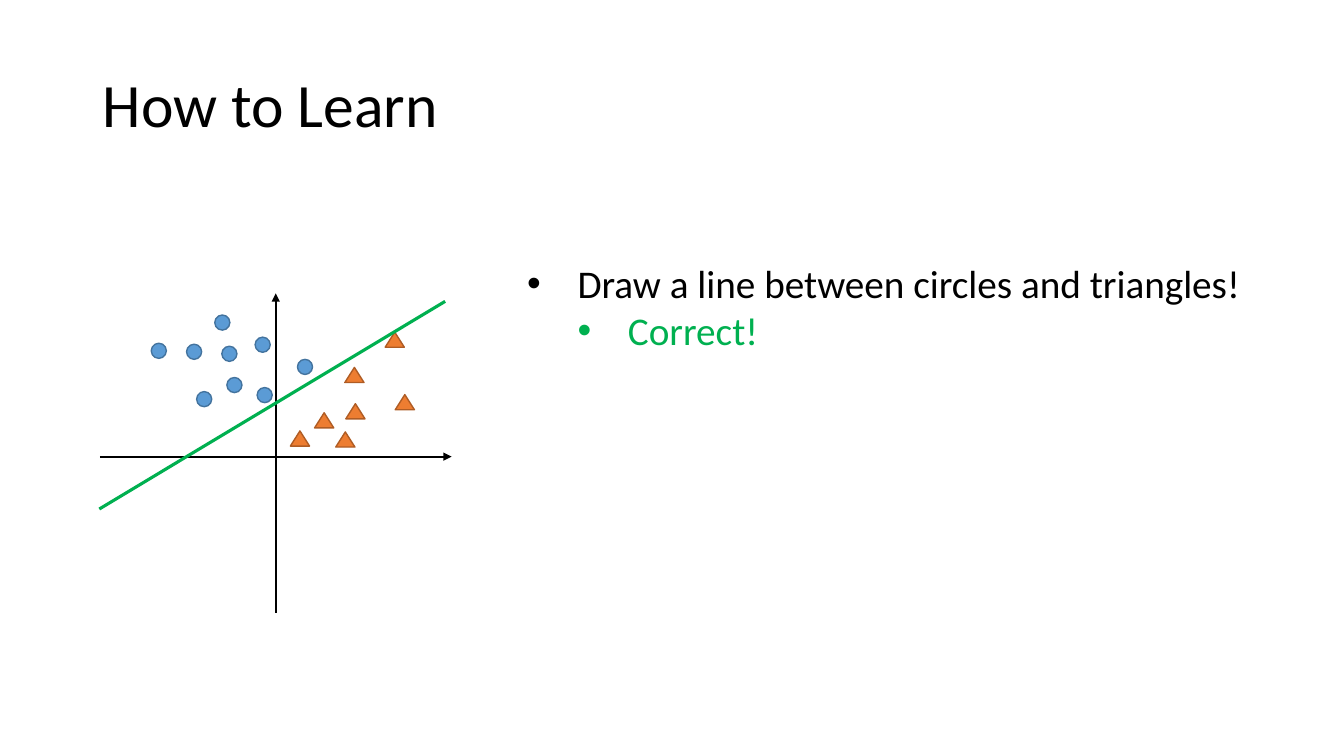
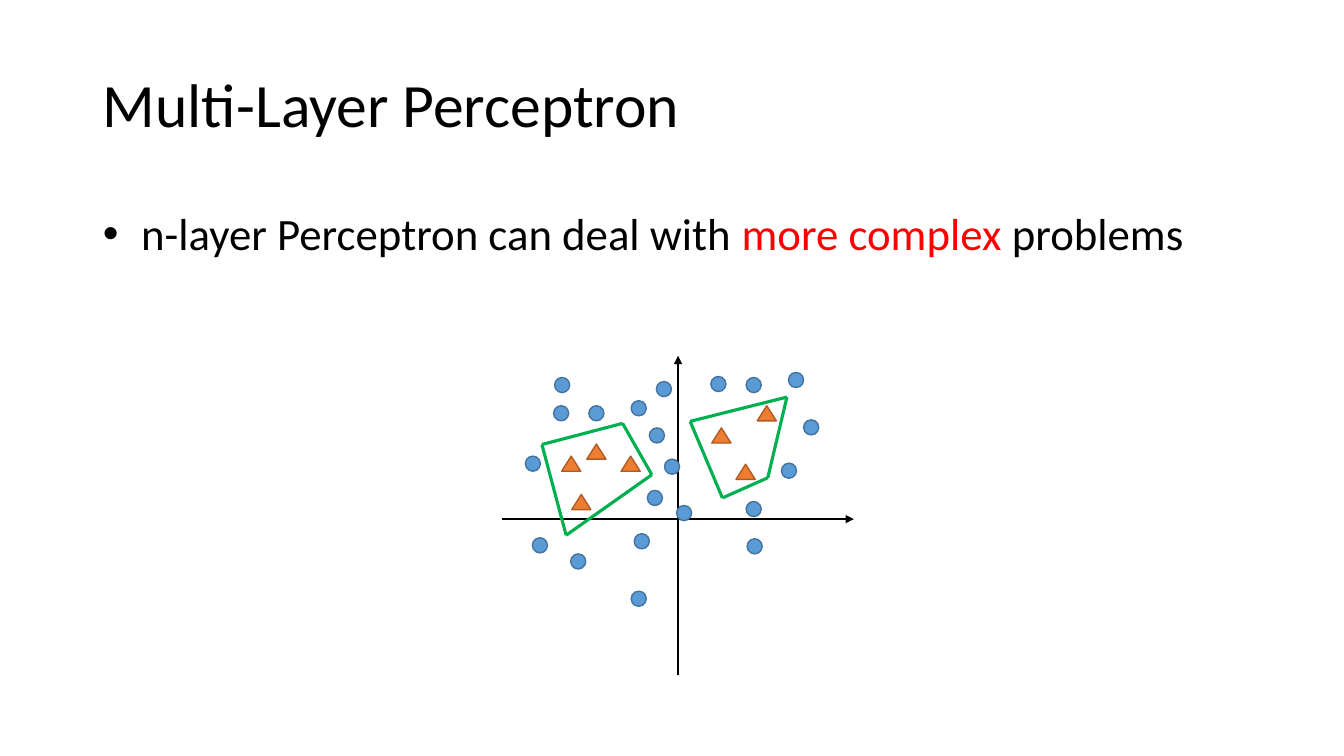
import pptx
import pptx.util
import pptx.dml.color
import pptx.enum.shapes
import pptx.enum.text
import pptx.oxml.ns
import lxml.etree

Inches = pptx.util.Inches
MARKS = pptx.enum.shapes.MSO_SHAPE

# Shared style
SLIDE_W, SLIDE_H = 13.33, 7.5
FONT = "Calibri"
COLORS = {
    "text": "000000", "accent": "FF0000", "boundary": "00B050",
    "circle": "5B9BD5", "circle_edge": "43739E",
    "triangle": "ED7D31", "triangle_edge": "AF5C24",
}
MARKERS = {  # preset, width, height
    "circle": (MARKS.OVAL, 0.15, 0.15),
    "triangle": (MARKS.ISOSCELES_TRIANGLE, 0.19, 0.15),
}
TITLE_BOX = (0.92, 0.3, 11.5, 1.45)
BODY_BOX = (0.92, 1.99, 11.5, 4.76)
PLOT_W, PLOT_H = 3.49, 3.17
AXIS_X, AXIS_Y = PLOT_W / 2, 1.62  # where the axes cross inside a plot

# Points in inches from the crossing of the axes, y upwards
LINEAR_PLOT = {
    "circle": [(0.29, 0.89), (-0.13, 1.11), (-0.46, 1.02), (-1.16, 1.05),
               (-0.81, 1.04), (-0.11, 0.61), (-0.41, 0.71), (-0.53, 1.33),
               (-0.71, 0.57)],
    "triangle": [(0.48, 0.36), (0.78, 0.81), (0.79, 0.45), (0.24, 0.18),
                 (0.69, 0.17), (1.28, 0.54), (1.18, 1.16)],
    "boundaries": [[(1.68, 1.54), (-1.75, -0.52)]],
}
COMPLEX_PLOT = {
    "circle": [(-0.06, 0.52), (-0.21, 0.83), (-0.39, -0.79), (-1.16, 1.05),
               (-0.81, 1.05), (-0.23, 0.21), (0.06, 0.06), (-1.15, 1.33),
               (-0.39, 1.1), (0.4, 1.34), (0.75, 1.33), (-0.14, 1.29),
               (1.17, 1.38), (0.76, -0.27), (1.1, 0.48), (0.75, 0.1),
               (1.32, 0.91), (-1.37, -0.26), (-0.99, -0.42), (-1.44, 0.55),
               (-0.36, -0.22)],
    "triangle": [(-0.96, 0.17), (-0.81, 0.67), (0.43, 0.83), (-1.06, 0.55),
                 (-0.47, 0.55), (0.67, 0.47), (0.88, 1.05)],
    "boundaries": [
        [(-1.11, -0.16), (-1.35, 0.74), (-0.55, 0.95), (-0.26, 0.44), (-1.11, -0.16)],
        [(0.44, 0.21), (0.12, 0.97), (1.08, 1.21), (0.89, 0.41), (0.44, 0.21)],
    ],
}


def rgb(name):
    return pptx.dml.color.RGBColor.from_string(COLORS[name])


def sub_element(parent, tag, **attributes):
    return lxml.etree.SubElement(parent, pptx.oxml.ns.qn(tag), attributes)


def place(shape, box):
    shape.left, shape.top, shape.width, shape.height = map(Inches, box)


def add_text(paragraph, text, size, color="text"):
    run = paragraph.add_run()
    run.text = text
    run.font.name = FONT
    run.font.size = pptx.util.Pt(size)
    run.font.color.rgb = rgb(color)


def set_bullet(paragraph, margin, hanging, level=0):
    paragraph.level = level
    paragraph.alignment = pptx.enum.text.PP_ALIGN.LEFT
    properties = paragraph._p.get_or_add_pPr()
    properties.set("marL", str(Inches(margin)))
    properties.set("indent", str(-Inches(hanging)))
    sub_element(properties, "a:buFont", typeface="Arial")
    sub_element(properties, "a:buChar", char="•")


def add_line(slide, start, end, color, width, arrow=False):
    line = slide.shapes.add_connector(
        pptx.enum.shapes.MSO_CONNECTOR.STRAIGHT, *map(Inches, (*start, *end)))
    line.line.color.rgb = rgb(color)
    line.line.width = pptx.util.Pt(width)
    if arrow:
        sub_element(line.line._get_or_add_ln(), "a:tailEnd", type="triangle")
    sub_element(line._element.spPr, "a:effectLst")


def add_marker(slide, kind, center):
    preset, width, height = MARKERS[kind]
    x, y = center
    marker = slide.shapes.add_shape(preset, 0, 0, 0, 0)
    place(marker, (x - width / 2, y - height / 2, width, height))
    marker.shadow.inherit = False
    marker.fill.solid()
    marker.fill.fore_color.rgb = rgb(kind)
    marker.line.color.rgb = rgb(kind + "_edge")
    marker.line.width = pptx.util.Pt(1)


def add_plot(slide, left, top, data):
    """Axes, markers and decision boundaries, with the box's corner at left, top."""
    origin_x, origin_y = left + AXIS_X, top + AXIS_Y

    def locate(point):
        return origin_x + point[0], origin_y - point[1]

    # Axes
    add_line(slide, (left, origin_y), (left + PLOT_W, origin_y), "text", 1.5, arrow=True)
    add_line(slide, (origin_x, top + PLOT_H), (origin_x, top), "text", 1.5, arrow=True)
    # Samples
    for kind in MARKERS:
        for point in data[kind]:
            add_marker(slide, kind, locate(point))
    # Boundaries
    for corners in data["boundaries"]:
        for start, end in zip(corners, corners[1:]):
            add_line(slide, locate(start), locate(end), "boundary", 2.25)


def add_titled_slide(prs, layout_index, title):
    slide = prs.slides.add_slide(prs.slide_layouts[layout_index])
    heading = slide.shapes.title
    place(heading, TITLE_BOX)
    heading.text_frame.vertical_anchor = pptx.enum.text.MSO_ANCHOR.MIDDLE
    paragraph = heading.text_frame.paragraphs[0]
    paragraph.alignment = pptx.enum.text.PP_ALIGN.LEFT
    add_text(paragraph, title, 44)
    return slide


def add_steps(slide, box):
    steps = slide.shapes.add_textbox(*map(Inches, box)).text_frame
    steps.word_wrap = False
    steps.auto_size = pptx.enum.text.MSO_AUTO_SIZE.SHAPE_TO_FIT_TEXT
    task, verdict = steps.paragraphs[0], steps.add_paragraph()
    set_bullet(task, 0.5, 0.5)
    add_text(task, "Draw a line between circles and triangles!", 28)
    set_bullet(verdict, 1, 0.5, level=1)
    add_text(verdict, "Correct!", 28, color="boundary")


def build_learning_slide(prs):
    slide = add_titled_slide(prs, 5, "How to Learn")
    add_plot(slide, 0.99, 2.91, LINEAR_PLOT)
    add_steps(slide, (5.13, 2.52, 7.35, 1.04))


def build_perceptron_slide(prs):
    slide = add_titled_slide(prs, 1, "Multi-Layer Perceptron")
    body = slide.placeholders[1]
    place(body, BODY_BOX)
    claim = body.text_frame.paragraphs[0]
    set_bullet(claim, 0.38, 0.38)
    add_text(claim, "n-layer Perceptron can deal with ", 32)
    add_text(claim, "more complex", 32, color="accent")
    add_text(claim, " problems", 32)
    add_plot(slide, 4.98, 3.53, COMPLEX_PLOT)


def main():
    prs = pptx.Presentation()
    prs.slide_width, prs.slide_height = Inches(SLIDE_W), Inches(SLIDE_H)
    build_learning_slide(prs)
    build_perceptron_slide(prs)
    prs.save("out.pptx")


if __name__ == "__main__":
    main()
